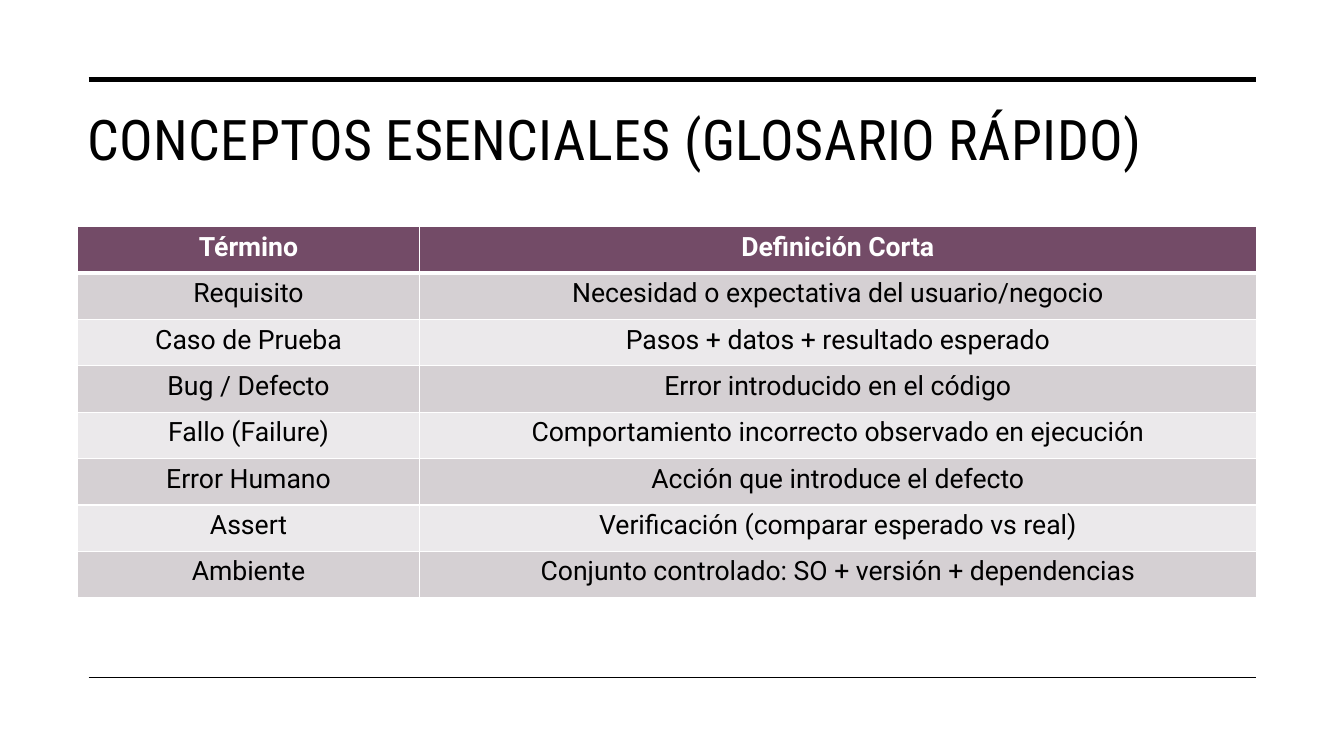
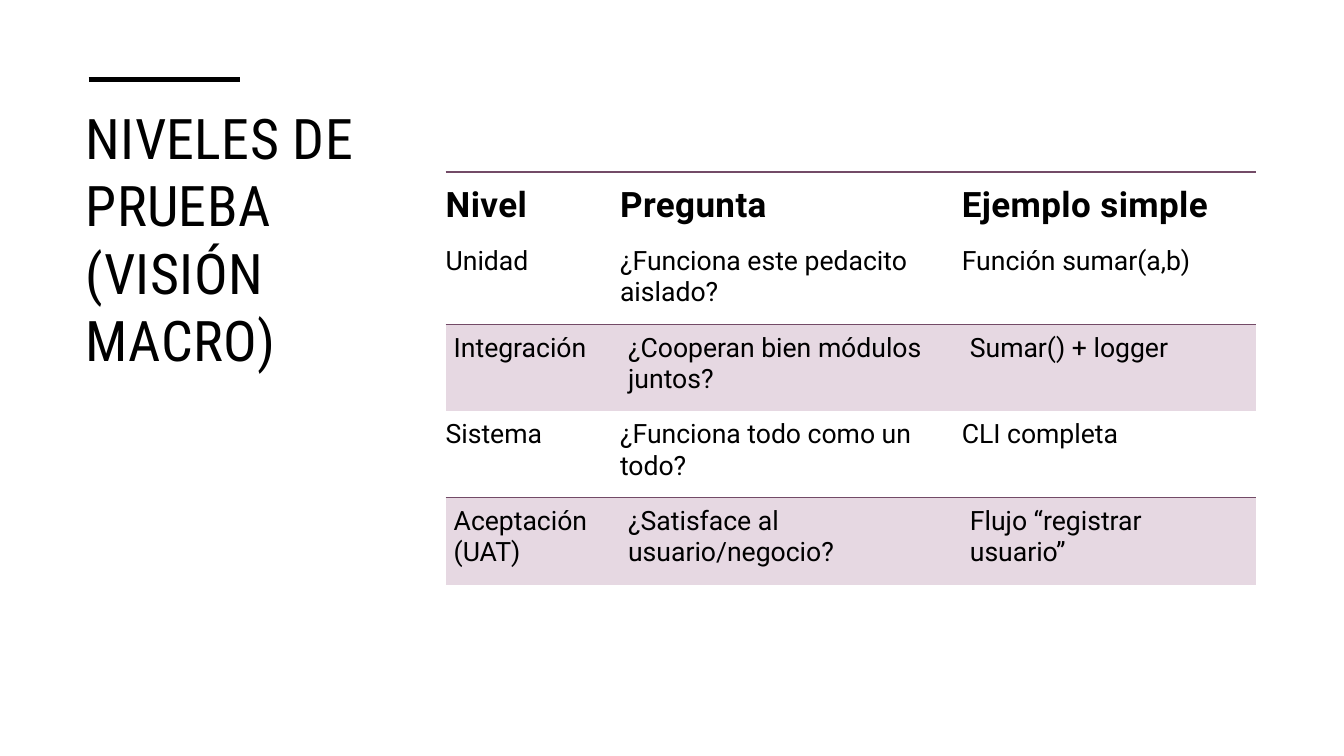
from pptx import Presentation
from pptx.dml.color import RGBColor
from pptx.enum.shapes import MSO_CONNECTOR
from pptx.enum.text import MSO_ANCHOR, MSO_AUTO_SIZE, PP_ALIGN
from pptx.oxml.ns import qn
from pptx.util import Inches, Pt
from lxml.etree import SubElement

COLORS = {
    "ink": "000000",
    "paper": "FFFFFF",
    "plum": "734B67",
    "band_dark": "D5D0D3",
    "band_light": "EBE9EB",
    "band_pink": "E6D8E2",
}
TITLE_FONT, BODY_FONT = "Roboto Condensed", "Roboto"
LEFT, RIGHT = 0.88, 12.46

glossary = [
    ("Término", "Definición Corta"),
    ("Requisito", "Necesidad o expectativa del usuario/negocio"),
    ("Caso de Prueba", "Pasos + datos + resultado esperado"),
    ("Bug / Defecto", "Error introducido en el código"),
    ("Fallo (Failure)", "Comportamiento incorrecto observado en ejecución"),
    ("Error Humano", "Acción que introduce el defecto"),
    ("Assert", "Verificación (comparar esperado vs real)"),
    ("Ambiente", "Conjunto controlado: SO + versión + dependencias"),
]
levels = [
    ("Nivel", "Pregunta", "Ejemplo simple"),
    ("Unidad", "¿Funciona este pedacito aislado?", "Función sumar(a,b)"),
    ("Integración", "¿Cooperan bien módulos juntos?", "Sumar() + logger"),
    ("Sistema", "¿Funciona todo como un todo?", "CLI completa"),
    ("Aceptación (UAT)", "¿Satisface al usuario/negocio?", "Flujo “registrar usuario”"),
]

glossary_look, levels_look = [], []
for row in range(len(glossary)):
    header = row == 0
    top = 3 if row == 1 else 1
    glossary_look.append({
        "fill": "plum" if header else "band_dark" if row % 2 else "band_light",
        "size": 19, "bold": header, "color": "paper" if header else "ink",
        "spacing": 0, "align": PP_ALIGN.CENTER, "anchor": MSO_ANCHOR.TOP,
        "insets": (0.11, 0.05, 0.11, 0.05),
        "borders": {"L": ("paper", 1), "R": ("paper", 1),
                    "T": ("paper", top), "B": ("paper", 3 if header else 1)},
    })
for row in range(len(levels)):
    header, shaded = row == 0, row > 0 and row % 2 == 0
    borders = {}
    if header or shaded:
        borders["T"] = ("plum", 1.5 if header else 0.75)
    if row % 2:
        borders["B"] = ("plum", 0.75)
    levels_look.append({
        "fill": "band_pink" if shaded else None,
        "size": 25 if header else 19, "bold": header, "color": "ink",
        "spacing": 30 if header else 0, "align": PP_ALIGN.LEFT,
        "anchor": MSO_ANCHOR.MIDDLE if header else MSO_ANCHOR.TOP,
        "insets": (0.08 if shaded else 0, 0.08, 0.02 if header else 0.16, 0.08),
        "borders": borders,
    })

pages = [
    {"title": "CONCEPTOS ESENCIALES (GLOSARIO RÁPIDO)",
     "title_box": (0.77, 0.99, 11.69, 1.26),
     "rules": [(0.79, RIGHT, 3.5), (6.72, RIGHT, 1)],
     "rows": glossary, "look": glossary_look, "origin": (0.77, 2.25),
     "widths": [3.39, 8.3], "heights": [0.46] * len(glossary)},
    {"title": "NIVELES DE PRUEBA (VISIÓN MACRO)",
     "title_box": (0.75, 0.98, 3.36, 4.28),
     "rules": [(0.79, 2.38, 3.5)],
     "rows": levels, "look": levels_look, "origin": (4.42, 1.71),
     "widths": [1.73, 3.39, 2.92], "heights": [0.65] + [0.86] * (len(levels) - 1)},
]


def style_text(paragraph, font_name, size, color, bold, spacing, align):
    paragraph.alignment = align
    for run in paragraph.runs:
        run.font.name = font_name
        run.font.size = Pt(size)
        run.font.bold = bold
        run.font.color.rgb = RGBColor.from_string(COLORS[color])
        run.font._element.set("spc", str(spacing))


def style_cell(cell, look):
    cell.margin_left, cell.margin_top, cell.margin_right, cell.margin_bottom = map(
        Inches, look["insets"])
    cell.vertical_anchor = look["anchor"]
    properties = cell._tc.get_or_add_tcPr()
    for side in "LRTB":
        border = SubElement(properties, qn(f"a:ln{side}"))
        if side in look["borders"]:
            color, width = look["borders"][side]
            border.set("w", str(Pt(width)))
            solid = SubElement(border, qn("a:solidFill"))
            SubElement(solid, qn("a:srgbClr")).set("val", COLORS[color])
        else:
            SubElement(border, qn("a:noFill"))
    if look["fill"]:
        cell.fill.solid()
        cell.fill.fore_color.rgb = RGBColor.from_string(COLORS[look["fill"]])
    else:
        cell.fill.background()
    style_text(cell.text_frame.paragraphs[0], BODY_FONT, look["size"], look["color"],
               look["bold"], look["spacing"], look["align"])


deck = Presentation()
deck.slide_width, deck.slide_height = Inches(13.33), Inches(7.5)

for page in pages:
    slide = deck.slides.add_slide(deck.slide_layouts[5])

    title = slide.shapes.title
    title.left, title.top, title.width, title.height = map(Inches, page["title_box"])
    title.text_frame.text = page["title"]
    title.text_frame.word_wrap = True
    title.text_frame.auto_size = MSO_AUTO_SIZE.NONE
    title.text_frame.vertical_anchor = MSO_ANCHOR.TOP
    style_text(title.text_frame.paragraphs[0], TITLE_FONT, 40, "ink", False, 30,
               PP_ALIGN.LEFT)

    for y, end, weight in page["rules"]:
        rule = slide.shapes.add_connector(
            MSO_CONNECTOR.STRAIGHT, Inches(LEFT), Inches(y), Inches(end), Inches(y))
        rule.line.color.rgb = RGBColor.from_string(COLORS["ink"])
        rule.line.width = Pt(weight)
        SubElement(rule._element.spPr, qn("a:effectLst"))

    widths, heights = page["widths"], page["heights"]
    left, top = page["origin"]
    table = slide.shapes.add_table(
        len(heights), len(widths), Inches(left), Inches(top),
        Inches(sum(widths)), Inches(sum(heights))).table
    table.first_row = table.horz_banding = False
    for column, width in zip(table.columns, widths):
        column.width = Inches(width)
    for row, height, texts, look in zip(table.rows, heights, page["rows"], page["look"]):
        row.height = Inches(height)
        for cell, text in zip(row.cells, texts):
            cell.text_frame.text = text
            style_cell(cell, look)

deck.save("out.pptx")
